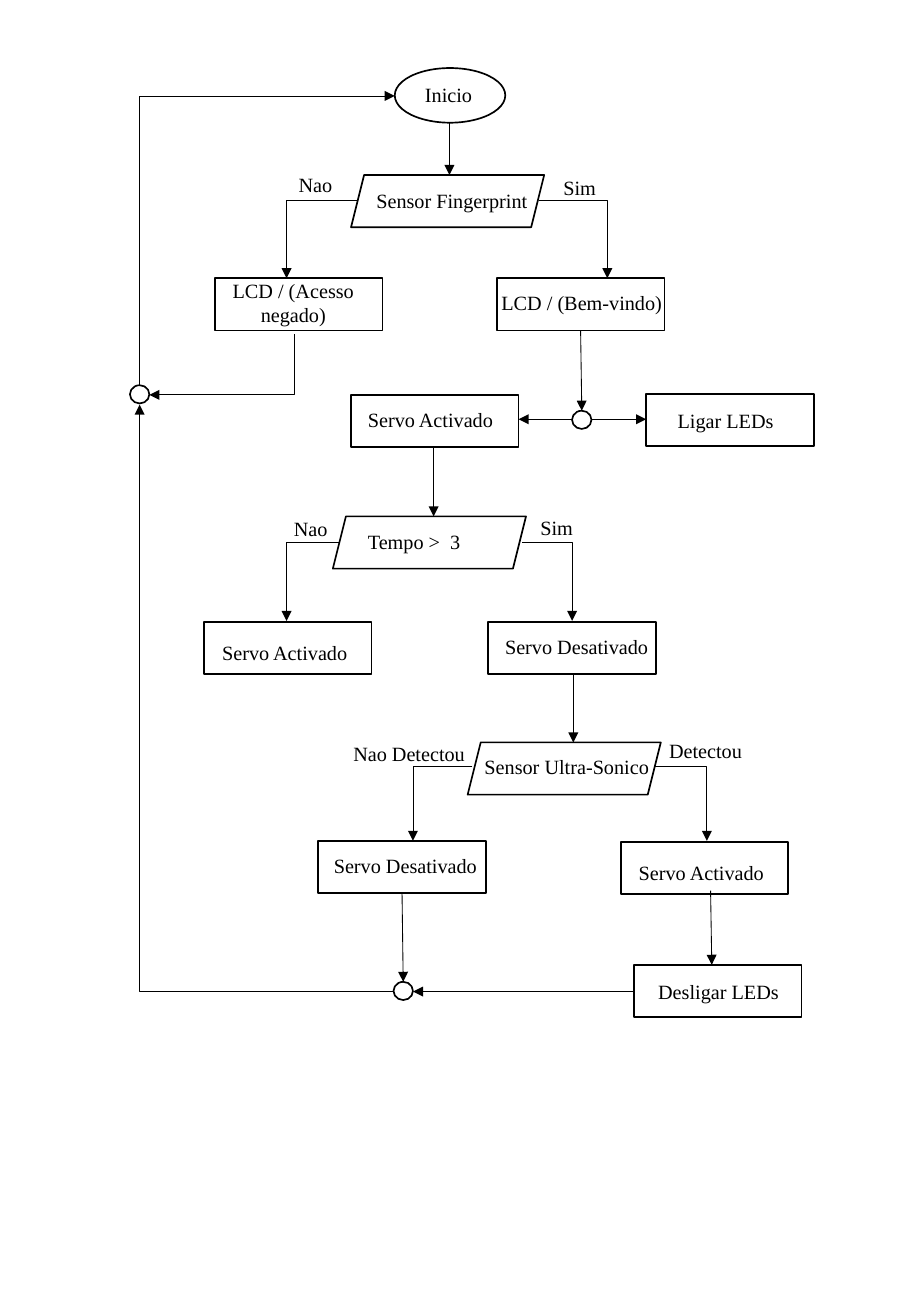
from dataclasses import dataclass

from lxml import etree
from pptx import Presentation
from pptx import util as u
from pptx.dml.color import RGBColor
from pptx.enum import shapes, text
from pptx.oxml.ns import qn


@dataclass(frozen=True)
class Theme:
    font: str = "Times New Roman"
    size: float = 12
    ink: RGBColor = RGBColor(0, 0, 0)
    paper: RGBColor = RGBColor(255, 255, 255)
    outline: float = 1
    arrow: float = 0.5


class Flowchart:
    def __init__(self, slide, theme):
        self.slide = slide
        self.theme = theme

    def outline(self, preset, left, top, width, height, filled=False):
        shape = self.slide.shapes.add_shape(
            preset, *map(u.Inches, (left, top, width, height)))
        shape.shadow.inherit = False
        if filled:
            shape.fill.solid()
            shape.fill.fore_color.rgb = self.theme.paper
        else:
            shape.fill.background()
        shape.line.color.rgb = self.theme.ink
        shape.line.width = u.Pt(self.theme.outline)

    def label(self, words, left, top, width, height=0.3, align=text.PP_ALIGN.LEFT):
        box = self.slide.shapes.add_textbox(
            *map(u.Inches, (left, top, width, height)))
        frame = box.text_frame
        frame.word_wrap = True
        frame.auto_size = text.MSO_AUTO_SIZE.SHAPE_TO_FIT_TEXT
        paragraph = frame.paragraphs[0]
        paragraph.alignment = align
        run = paragraph.add_run()
        run.text = words
        run.font.name = self.theme.font
        run.font.size = u.Pt(self.theme.size)
        run.font.color.rgb = self.theme.ink

    def start(self, left, top):
        self.outline(shapes.MSO_SHAPE.OVAL, left, top, 0.91, 0.45)

    def decision(self, left, top):
        self.outline(shapes.MSO_SHAPE.PARALLELOGRAM, left, top, 1.59, 0.43)

    def process(self, left, top):
        self.outline(shapes.MSO_SHAPE.RECTANGLE, left, top, 1.38, 0.43, filled=True)

    def junction(self, left, top):
        self.outline(shapes.MSO_SHAPE.OVAL, left, top, 0.16, 0.15)

    def arrow(self, x1, y1, x2, y2, kind=shapes.MSO_CONNECTOR.STRAIGHT):
        connector = self.slide.shapes.add_connector(
            kind, *map(u.Inches, (x1, y1, x2, y2)))
        connector.line.color.rgb = self.theme.ink
        connector.line.width = u.Pt(self.theme.arrow)
        line = connector.line._get_or_add_ln()
        etree.SubElement(line, qn("a:tailEnd"), type="triangle")
        properties = connector._element.spPr
        etree.SubElement(properties, qn("a:effectLst"))
        return properties

    def across_then_vertical(self, x1, y1, x2, y2):
        properties = self.arrow(x1, y1, x2, y2, shapes.MSO_CONNECTOR.ELBOW)
        properties.find(qn("a:prstGeom")).set("prst", "bentConnector2")
        return properties

    def vertical_then_across(self, x1, y1, x2, y2):
        """Draw the one-corner elbow in its own frame, then turn it by 90 degrees."""
        mid_x, mid_y = (x1 + x2) / 2, (y1 + y2) / 2
        half_x, half_y = (y2 - y1) / 2, (x1 - x2) / 2
        properties = self.across_then_vertical(
            mid_x - half_x, mid_y - half_y, mid_x + half_x, mid_y + half_y)
        properties.find(qn("a:xfrm")).set("rot", "5400000")


PROCESSES = [(1.77, 2.29), (4.09, 2.29), (2.89, 3.25), (5.32, 3.24), (1.68, 5.12),
             (4.02, 5.12), (5.11, 6.93), (2.62, 6.92), (5.22, 7.94)]
DECISIONS = [(2.89, 1.44), (2.74, 4.25), (3.85, 6.11)]
JUNCTIONS = [(4.71, 3.38), (3.24, 8.08), (1.07, 3.17)]

STEP_LABELS = [
    ("Inicio", 3.4, 0.63, 0.68),
    ("Sensor Fingerprint", 3, 1.5, 1.59),
    ("LCD / (Acesso negado)", 1.77, 2.24, 1.29, 0.5, text.PP_ALIGN.CENTER),
    ("LCD / (Bem-vindo)", 4.03, 2.34, 1.66),
    ("Servo Activado", 2.93, 3.3, 1.38),
    ("Ligar LEDs", 5.48, 3.31, 1.05),
    ("Tempo >  3", 2.93, 4.31, 1.38),
    ("Servo Activado", 1.73, 5.22, 1.38),
    ("Servo Desativado", 4.06, 5.17, 1.5),
    ("Sensor Ultra-Sonico", 3.89, 6.16, 1.58),
    ("Servo Activado", 5.16, 7.03, 1.38),
    ("Servo Desativado", 2.65, 6.97, 1.5),
    ("Desligar LEDs", 5.32, 8.01, 1.31),
]
BRANCH_LABELS = [
    ("Nao", 2.36, 1.37, 0.61), ("Sim", 4.54, 1.39, 0.9),
    ("Nao", 2.32, 4.2, 0.61), ("Sim", 4.35, 4.19, 0.9),
    ("Nao Detectou", 2.81, 6.05, 1.15), ("Detectou", 5.41, 6.03, 0.9),
]

STRAIGHT_FLOWS = [
    (3.7, 1.01, 3.7, 1.44), (4.78, 2.72, 4.79, 3.38),
    (4.87, 3.45, 5.32, 3.45), (4.71, 3.45, 4.27, 3.45),
    (3.57, 3.68, 3.57, 4.25), (4.72, 5.54, 4.72, 6.11),
    (5.85, 7.33, 5.86, 7.94), (5.22, 8.16, 3.4, 8.16),
    (3.31, 7.35, 3.32, 8.08),
]
BRANCH_FLOWS = [
    (4.44, 1.65, 5, 2.29), (2.94, 1.65, 2.36, 2.29),
    (4.3, 4.46, 4.71, 5.11), (2.79, 4.46, 2.36, 5.11),
    (3.89, 6.31, 3.4, 6.92), (5.39, 6.31, 5.82, 6.92),
    (3.24, 8.16, 1.15, 3.33),
]
RETURN_FLOWS = [(2.42, 2.75, 1.23, 3.25), (1.15, 3.17, 3.25, 0.79)]


def main():
    deck = Presentation()
    deck.slide_width, deck.slide_height = u.Inches(7.5), u.Inches(10.83)
    chart = Flowchart(deck.slides.add_slide(deck.slide_layouts[6]), Theme())

    chart.start(3.25, 0.56)
    for draw, items in (
        (chart.decision, DECISIONS),
        (chart.process, PROCESSES),
        (chart.junction, JUNCTIONS),
        (chart.arrow, STRAIGHT_FLOWS),
        (chart.across_then_vertical, BRANCH_FLOWS),
        (chart.vertical_then_across, RETURN_FLOWS),
        (chart.label, STEP_LABELS + BRANCH_LABELS),
    ):
        for item in items:
            draw(*item)

    deck.save("out.pptx")


if __name__ == "__main__":
    main()
